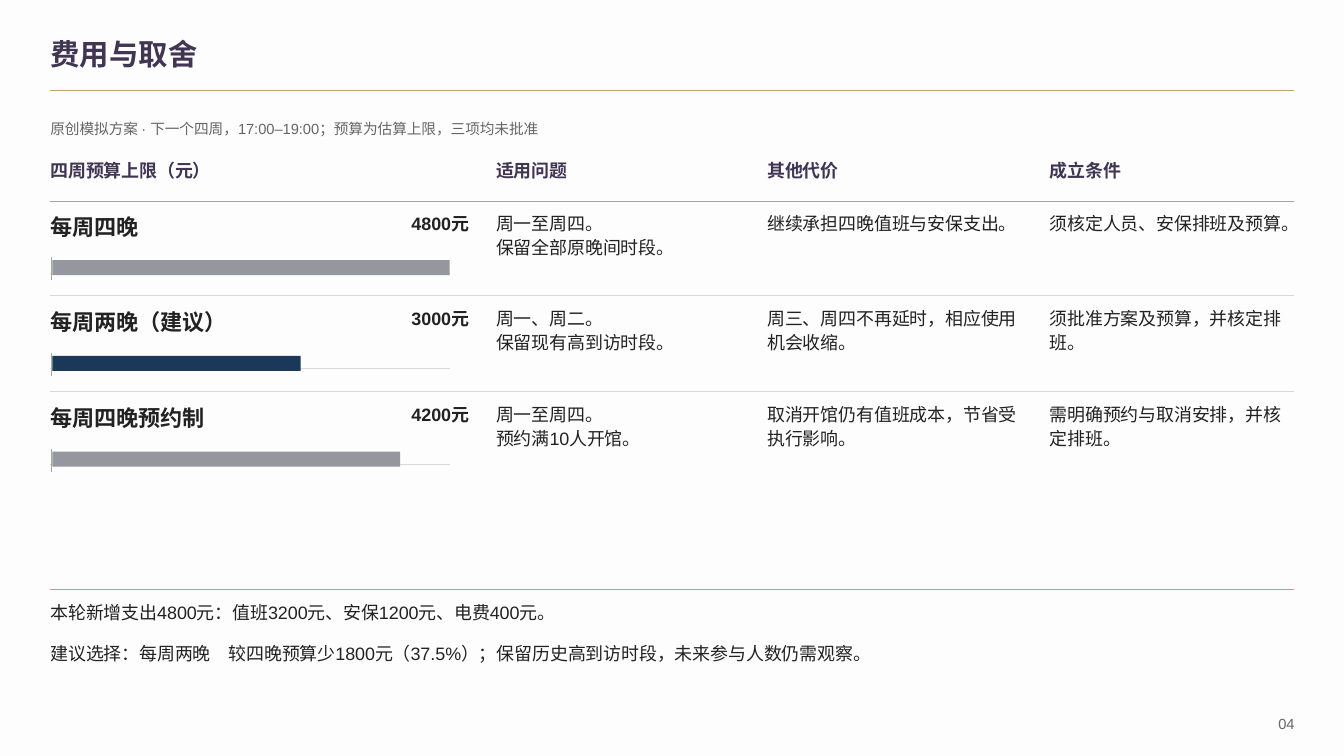
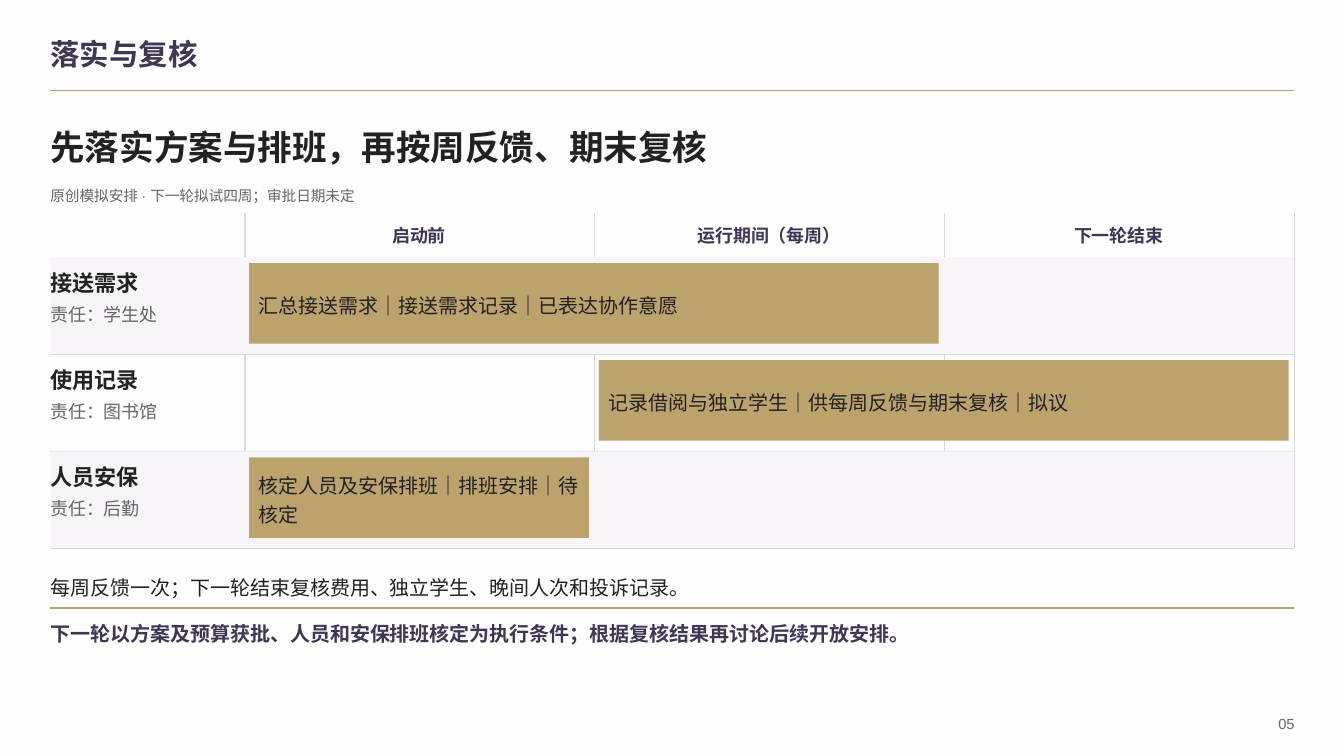
from dataclasses import dataclass
from typing import NamedTuple

from lxml.etree import SubElement
from pptx import Presentation
from pptx.dml.color import RGBColor
from pptx.enum.shapes import MSO_CONNECTOR, MSO_SHAPE
from pptx.enum.text import MSO_ANCHOR, MSO_AUTO_SIZE, PP_ALIGN
from pptx.oxml.ns import qn
from pptx.shapes.autoshape import Shape
from pptx.slide import Slide
from pptx.text.text import TextFrame
from pptx.util import Inches, Pt


@dataclass(frozen=True)
class Theme:
    font: str = "Arial"
    paper: RGBColor = RGBColor(0xFD, 0xFD, 0xFE)
    gold: RGBColor = RGBColor(0xBC, 0xA3, 0x6D)
    plum: RGBColor = RGBColor(0x40, 0x36, 0x53)
    ink: RGBColor = RGBColor(0x22, 0x22, 0x22)
    muted: RGBColor = RGBColor(0x66, 0x66, 0x66)
    hairline: RGBColor = RGBColor(0xD8, 0xD8, 0xD8)
    band: RGBColor = RGBColor(0xF7, 0xF5, 0xF9)
    bar: RGBColor = RGBColor(0x96, 0x96, 0x9E)
    chosen_bar: RGBColor = RGBColor(0x1B, 0x38, 0x5B)
    headline_size: float = 24.75
    title_size: float = 21
    name_size: float = 15.75
    task_size: float = 14.25
    body_size: float = 12.75
    note_size: float = 10.5
    body_leading: Pt = Pt(17.2)
    name_leading: Pt = Pt(21.3)


THEME = Theme()
LEFT, RIGHT = 0.5, 12.83
WIDTH = RIGHT - LEFT


class Style(NamedTuple):
    size: float
    color: RGBColor
    bold: bool = False
    leading: float | Pt | None = None
    align: PP_ALIGN = PP_ALIGN.LEFT
    anchor: MSO_ANCHOR = MSO_ANCHOR.TOP


TITLE = Style(THEME.title_size, THEME.plum, True, anchor=MSO_ANCHOR.MIDDLE)
PAGE_NUMBER = Style(THEME.note_size, THEME.muted, align=PP_ALIGN.RIGHT, anchor=MSO_ANCHOR.MIDDLE)
BODY = Style(THEME.body_size, THEME.ink, leading=THEME.body_leading)
HEADER = BODY._replace(color=THEME.plum, bold=True)
AMOUNT = BODY._replace(bold=True, align=PP_ALIGN.RIGHT)
NAME = Style(THEME.name_size, THEME.ink, True, THEME.name_leading)
NOTE = Style(THEME.note_size, THEME.muted, leading=1.5)
TASK = Style(THEME.task_size, THEME.ink, leading=1.2, anchor=MSO_ANCHOR.MIDDLE)


class Column(NamedTuple):
    heading: str
    left: float
    width: float


class Option(NamedTuple):
    name: str
    budget: int
    color: RGBColor
    details: tuple[str, str, str]


class Workstream(NamedTuple):
    name: str
    owner: str
    task: str
    first_phase: int
    phase_count: int


COLUMNS = (
    Column("四周预算上限（元）", LEFT, 4.15),
    Column("适用问题", 4.92, 2.42),
    Column("其他代价", 7.61, 2.53),
    Column("成立条件", 10.41, 2.42),
)
OPTIONS = (
    Option("每周四晚", 4800, THEME.bar, (
        "周一至周四。\n保留全部原晚间时段。",
        "继续承担四晚值班与安保支出。",
        "须核定人员、安保排班及预算。")),
    Option("每周两晚（建议）", 3000, THEME.chosen_bar, (
        "周一、周二。\n保留现有高到访时段。",
        "周三、周四不再延时，相应使用机会收缩。",
        "须批准方案及预算，并核定排班。")),
    Option("每周四晚预约制", 4200, THEME.bar, (
        "周一至周四。\n预约满10人开馆。",
        "取消开馆仍有值班成本，节省受执行影响。",
        "需明确预约与取消安排，并核定排班。")),
)
PHASES = ("启动前", "运行期间（每周）", "下一轮结束")
WORKSTREAMS = (
    Workstream("接送需求", "学生处", "汇总接送需求｜接送需求记录｜已表达协作意愿", 0, 2),
    Workstream("使用记录", "图书馆", "记录借阅与独立学生｜供每周反馈与期末复核｜拟议", 1, 2),
    Workstream("人员安保", "后勤", "核定人员及安保排班｜排班安排｜待核定", 0, 1),
)


def write(frame: TextFrame, text: str, style: Style, side_inset: float = 0) -> None:
    frame.word_wrap = True
    frame.vertical_anchor = style.anchor
    frame.margin_left = frame.margin_right = Inches(side_inset)
    frame.margin_top = frame.margin_bottom = 0
    for index, line in enumerate(text.split("\n")):
        paragraph = frame.add_paragraph() if index else frame.paragraphs[0]
        paragraph.alignment = style.align
        paragraph.line_spacing = style.leading
        run = paragraph.add_run()
        run.text = line
        run.font.name = THEME.font
        run.font.size = Pt(style.size)
        run.font.bold = style.bold
        run.font.color.rgb = style.color


def add_text(slide: Slide, text: str, left: float, top: float,
             width: float, height: float, style: Style) -> None:
    box = slide.shapes.add_textbox(Inches(left), Inches(top), Inches(width), Inches(height))
    write(box.text_frame, text, style)
    box.text_frame.auto_size = MSO_AUTO_SIZE.SHAPE_TO_FIT_TEXT


def add_block(slide: Slide, left: float, top: float,
              width: float, height: float, color: RGBColor) -> Shape:
    block = slide.shapes.add_shape(
        MSO_SHAPE.RECTANGLE, Inches(left), Inches(top), Inches(width), Inches(height))
    block.shadow.inherit = False
    block.fill.solid()
    block.fill.fore_color.rgb = color
    block.line.fill.background()
    return block


def add_line(slide: Slide, x1: float, y1: float, x2: float, y2: float,
             color: RGBColor, weight: float = 0.75) -> None:
    line = slide.shapes.add_connector(
        MSO_CONNECTOR.STRAIGHT, Inches(x1), Inches(y1), Inches(x2), Inches(y2))
    line.line.color.rgb = color
    line.line.width = Pt(weight)
    SubElement(line._element.spPr, qn("a:effectLst"))


def add_rule(slide: Slide, y: float, color: RGBColor, weight: float = 0.75) -> None:
    add_line(slide, LEFT, y, RIGHT, y, color, weight)


def start_slide(prs: Presentation, title: str, number: int) -> Slide:
    slide = prs.slides.add_slide(prs.slide_layouts[6])
    add_rule(slide, 0.9, THEME.gold)
    add_text(slide, title, LEFT, 0.31, 10.52, 0.45, TITLE)
    add_text(slide, f"{number:02}", 12.4, 7.05, 0.44, 0.25, PAGE_NUMBER)
    return slide


def add_option(slide: Slide, option: Option, top: float) -> None:
    add_text(slide, option.name, LEFT, top, 3.23, 0.39, NAME)
    add_text(slide, f"{option.budget}元", 3.9, top, 0.75, 0.33, AMOUNT)

    # Budget bar, scaled to the largest budget
    full_length = 3.94
    length = full_length * option.budget / max(o.budget for o in OPTIONS)
    bar_left = LEFT + 0.02
    add_line(slide, LEFT, top + 0.63, bar_left + full_length, top + 0.63, THEME.hairline)
    add_line(slide, LEFT + 0.01, top + 0.47, LEFT + 0.01, top + 0.7, THEME.gold, 1)
    add_block(slide, bar_left, top + 0.5, length, 0.15, option.color)

    for column, detail in zip(COLUMNS[1:], option.details):
        add_text(slide, detail, column.left, top, column.width, 0.57, BODY)


def build_costs(prs: Presentation) -> None:
    slide = start_slide(prs, "费用与取舍", 4)
    add_text(slide, "原创模拟方案 · 下一个四周，17:00–19:00；预算为估算上限，三项均未批准",
             LEFT, 1.17, WIDTH, 0.29, NOTE._replace(leading=Pt(14.2)))

    # Comparison of options
    for column in COLUMNS:
        add_text(slide, column.heading, column.left, 1.56, column.width, 0.33, HEADER)
    add_rule(slide, 2, THEME.gold, 1)
    first_top, pitch = 2.08, 0.95
    for index, option in enumerate(OPTIONS):
        top = first_top + index * pitch
        if index:
            add_rule(slide, top - 0.1, THEME.hairline)
        add_option(slide, option, top)

    # Spending summary and recommendation
    add_rule(slide, 5.85, THEME.gold, 1)
    add_text(slide, "本轮新增支出4800元：值班3200元、安保1200元、电费400元。",
             LEFT, 5.94, WIDTH, 0.33, BODY)
    add_text(slide, "建议选择：每周两晚　较四晚预算少1800元（37.5%）；保留历史高到访时段，未来参与人数仍需观察。",
             LEFT, 6.35, WIDTH, 0.33, BODY)


def build_schedule(prs: Presentation) -> None:
    slide = start_slide(prs, "落实与复核", 5)
    add_text(slide, "先落实方案与排班，再按周反馈、期末复核", LEFT, 1.17, WIDTH, 0.47,
             Style(THEME.headline_size, THEME.ink, True, 1.2))
    add_text(slide, "原创模拟安排 · 下一轮拟试四周；审批日期未定", LEFT, 1.77, WIDTH, 0.28, NOTE)

    # Phase headings and column lines
    grid_left, grid_top, rows_top, grid_bottom = 2.42, 2.11, 2.55, 5.44
    phase_width = (RIGHT - grid_left) / len(PHASES)
    phase_style = HEADER._replace(leading=1.3, align=PP_ALIGN.CENTER)
    for index, phase in enumerate(PHASES):
        add_text(slide, phase, grid_left + index * phase_width + 0.04, 2.17,
                 phase_width - 0.08, 0.33, phase_style)
    for index in range(len(PHASES) + 1):
        x = grid_left + index * phase_width + 0.01
        add_line(slide, x, grid_top, x, grid_bottom, THEME.hairline)

    # Workstream rows
    row_height = (grid_bottom - rows_top) / len(WORKSTREAMS)
    for index, stream in enumerate(WORKSTREAMS):
        top = rows_top + index * row_height
        if index % 2 == 0:
            add_block(slide, LEFT, top, WIDTH, row_height, THEME.band)
        add_text(slide, stream.name, LEFT, top + 0.07, 1.79, 0.33, NAME._replace(leading=1.2))
        add_text(slide, f"责任：{stream.owner}", LEFT, top + 0.42, 1.79, 0.28,
                 BODY._replace(color=THEME.muted, leading=1.2))
        task = add_block(slide, grid_left + stream.first_phase * phase_width + 0.05, top + 0.06,
                         stream.phase_count * phase_width - 0.1, 0.8, THEME.gold)
        write(task.text_frame, stream.task, TASK, side_inset=0.1)
        add_rule(slide, top + row_height, THEME.hairline)

    # Review rhythm and conditions
    add_text(slide, "每周反馈一次；下一轮结束复核费用、独立学生、晚间人次和投诉记录。",
             LEFT, 5.63, WIDTH, 0.33, Style(THEME.task_size, THEME.ink, leading=1.35))
    add_rule(slide, 6.03, THEME.gold, 1.25)
    add_text(slide, "下一轮以方案及预算获批、人员和安保排班核定为执行条件；根据复核结果再讨论后续开放安排。",
             LEFT, 6.11, WIDTH, 0.31, Style(THEME.task_size, THEME.plum, True, 1.25))


def main() -> None:
    prs = Presentation()
    prs.slide_width, prs.slide_height = Inches(13.33), Inches(7.5)
    background = prs.slide_master.background.fill
    background.solid()
    background.fore_color.rgb = THEME.paper
    build_costs(prs)
    build_schedule(prs)
    prs.save("out.pptx")


if __name__ == "__main__":
    main()
